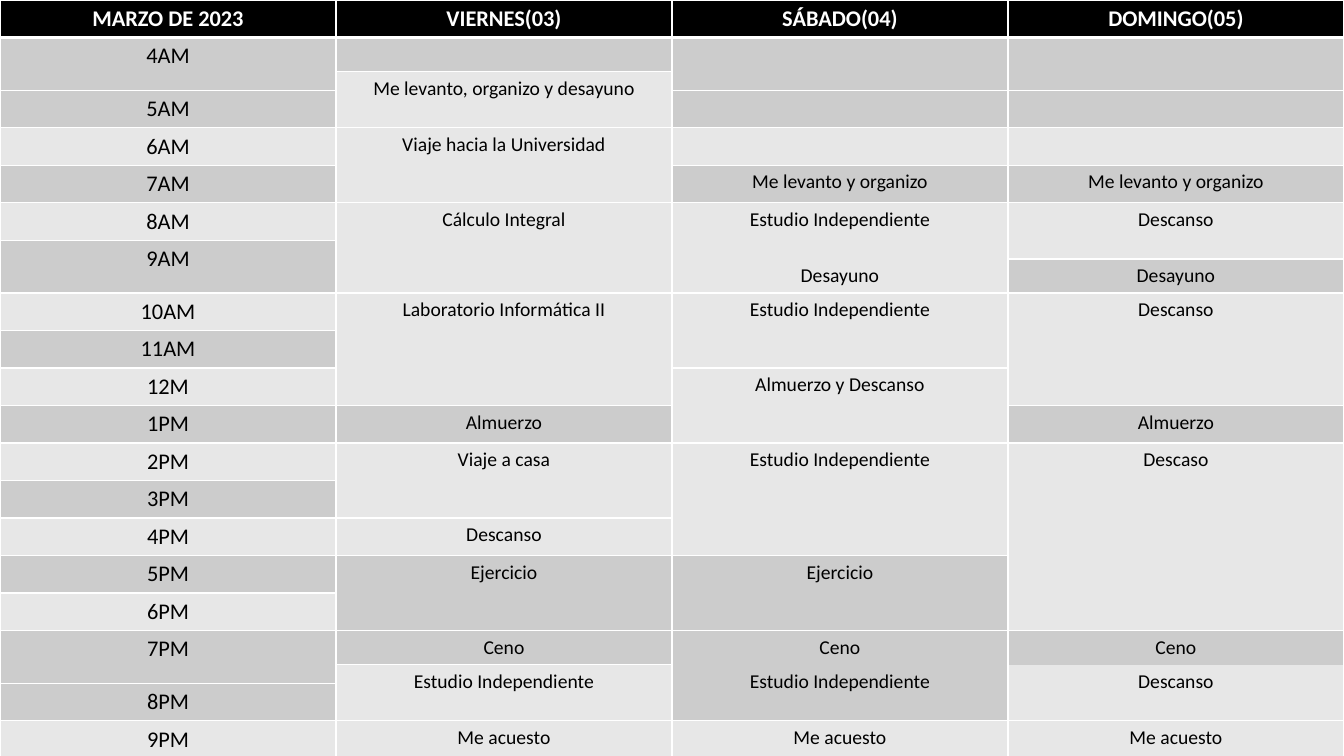
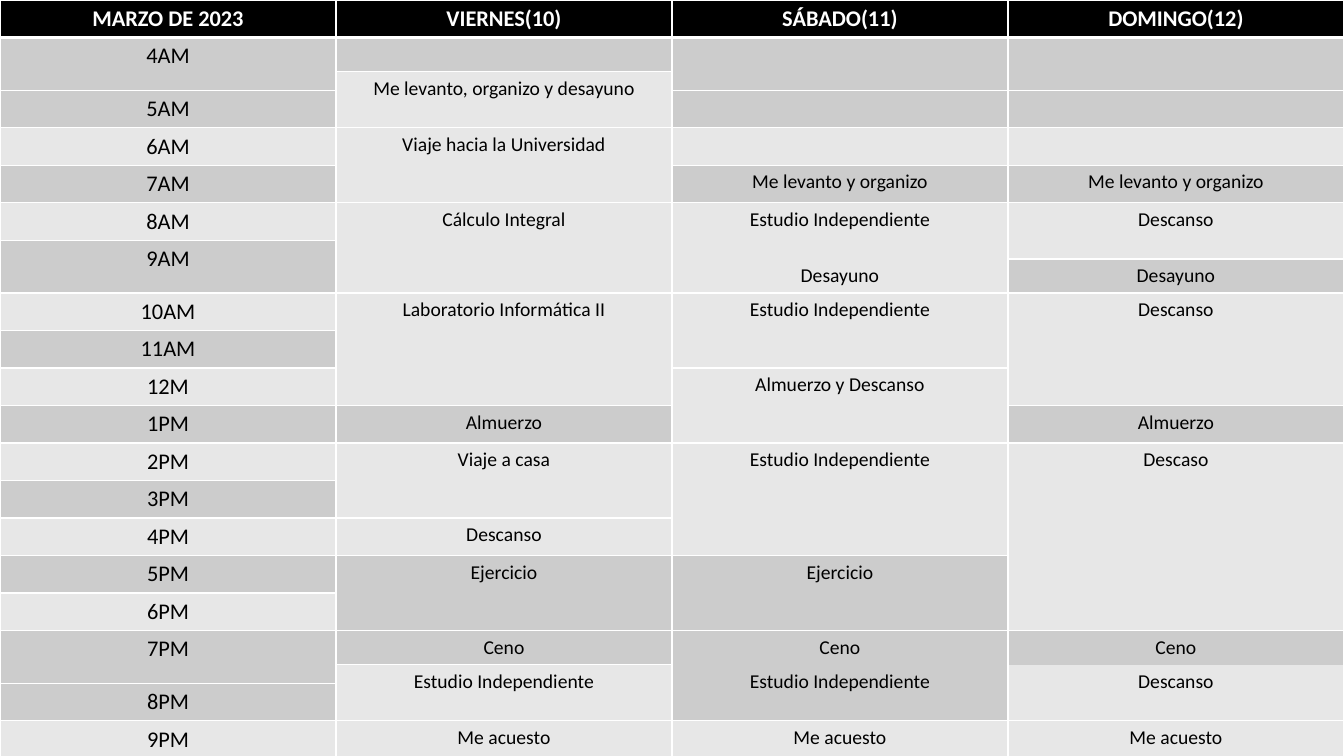
from lxml.etree import SubElement
from pptx import Presentation
from pptx.dml.color import RGBColor
from pptx.enum.text import PP_ALIGN as Align
from pptx.oxml.ns import qn
from pptx.util import Cm, Pt

# Shared style
BLACK = RGBColor(0x00, 0x00, 0x00)
WHITE = RGBColor(0xFF, 0xFF, 0xFF)
DARK = RGBColor(0xCC, 0xCC, 0xCC)
LIGHT = RGBColor(0xE7, 0xE7, 0xE7)
FONT = "Calibri"
WIDTH, HEIGHT = Cm(33.87), Cm(19.05)

# Row heights: full hours, with some hours split into shorter parts
FULL, SHORT, HALF = 0.94, 0.86, 0.47
ROWS = ([FULL, SHORT, HALF] + [FULL] * 4 + [HALF, 0, SHORT]
        + [FULL] * 9 + [SHORT, 0, 0, HALF, FULL, FULL])

# Each column lists its blocks downwards: text, rows covered, fill
HOURS = [
    ("4AM", 2, DARK), ("5AM", 1, DARK), ("6AM", 1, LIGHT), ("7AM", 1, DARK),
    ("8AM", 1, LIGHT), ("9AM", 3, DARK), ("10AM", 1, LIGHT), ("11AM", 1, DARK),
    ("12M", 1, LIGHT), ("1PM", 1, DARK), ("2PM", 1, LIGHT), ("3PM", 1, DARK),
    ("4PM", 1, LIGHT), ("5PM", 1, DARK), ("6PM", 1, LIGHT), ("7PM", 4, DARK),
    ("8PM", 1, DARK), ("9PM", 1, LIGHT),
]
FRIDAY = [
    ("", 1, DARK), ("Me levanto, organizo y desayuno", 2, LIGHT),
    ("Viaje hacia la Universidad", 2, LIGHT), ("Cálculo Integral", 4, LIGHT),
    ("Laboratorio Informática II", 3, LIGHT), ("Almuerzo", 1, DARK),
    ("Viaje a casa", 2, LIGHT), ("Descanso", 1, LIGHT), ("Ejercicio", 2, DARK),
    ("Ceno", 3, DARK), ("Estudio Independiente", 2, LIGHT),
    ("Me acuesto", 1, LIGHT),
]
WEEKEND_START = [
    ("", 2, DARK), ("", 1, DARK), ("", 1, LIGHT),
    ("Me levanto y organizo", 1, DARK),
]
SATURDAY = WEEKEND_START + [
    ("Estudio Independiente", 2, LIGHT), ("Desayuno", 2, LIGHT),
    ("Estudio Independiente", 2, LIGHT), ("Almuerzo y Descanso", 2, LIGHT),
    ("Estudio Independiente", 3, LIGHT), ("Ejercicio", 2, DARK),
    ("Ceno", 2, DARK), ("Estudio Independiente", 3, DARK),
    ("Me acuesto", 1, LIGHT),
]
SUNDAY = WEEKEND_START + [
    ("Descanso", 3, LIGHT), ("Desayuno", 1, DARK), ("Descanso", 3, LIGHT),
    ("Almuerzo", 1, DARK), ("Descaso", 5, LIGHT), ("Ceno", 1, DARK),
    ("Descanso", 4, LIGHT), ("Me acuesto", 1, LIGHT),
]
COLUMNS = [HOURS, FRIDAY, SATURDAY, SUNDAY]


def write_text(cell, text, size=14, color=BLACK, bold=False):
    para = cell.text_frame.paragraphs[0]
    para.alignment = Align.CENTER
    if text:
        span = para.add_run()
        span.text = text
        font = span.font
        font.name, font.size, font.bold = FONT, Pt(size), bold
        font.color.rgb = color
    else:
        # An empty cell still needs a text size, which sets its least height
        SubElement(para._p, qn("a:endParaRPr")).set("sz", str(size * 100))


class ScheduleDeck:
    def __init__(self):
        self.deck = Presentation()
        self.deck.slide_width, self.deck.slide_height = WIDTH, HEIGHT
        self.page = None

    def add_page(self):
        self.page = self.deck.slides.add_slide(self.deck.slide_layouts[6])

    def style_cell(self, cell, fill, top=1, bottom=1):
        properties = cell._tc.get_or_add_tcPr()
        for side, width in (("L", 1), ("R", 1), ("T", top), ("B", bottom)):
            line = SubElement(properties, qn(f"a:ln{side}"), w=str(Pt(width)))
            paint = SubElement(line, qn("a:solidFill"))
            SubElement(paint, qn("a:srgbClr"), val=str(WHITE))
        cell.fill.solid()
        cell.fill.fore_color.rgb = fill

    def add_block(self, table, row, column, block):
        text, rows, fill = block
        for covered in range(row, row + rows):
            self.style_cell(table.cell(covered, column), fill,
                            top=3 if covered == 1 else 1)
        cell = table.cell(row, column)
        write_text(cell, text, size=14 if column else 16)
        if rows > 1:
            cell.merge(table.cell(row + rows - 1, column))

    def add_schedule(self, headings):
        table = self.page.shapes.add_table(
            len(ROWS), len(COLUMNS), 0, 0, WIDTH, HEIGHT).table
        table.horz_banding = False
        for row, height in zip(table.rows, ROWS):
            row.height = Cm(height)
        for column, (heading, blocks) in enumerate(zip(headings, COLUMNS)):
            header = table.cell(0, column)
            self.style_cell(header, BLACK, bottom=3)
            write_text(header, heading, size=16, color=WHITE, bold=True)
            row = 1
            for block in blocks:
                self.add_block(table, row, column, block)
                row += block[1]


# One slide for each weekend, named by the date of its Friday
schedule = ScheduleDeck()
for friday in (3, 10):
    schedule.add_page()
    days = [f"{name}({friday + offset:02})"
            for offset, name in enumerate(["VIERNES", "SÁBADO", "DOMINGO"])]
    schedule.add_schedule(["MARZO DE 2023"] + days)
schedule.deck.save("out.pptx")
